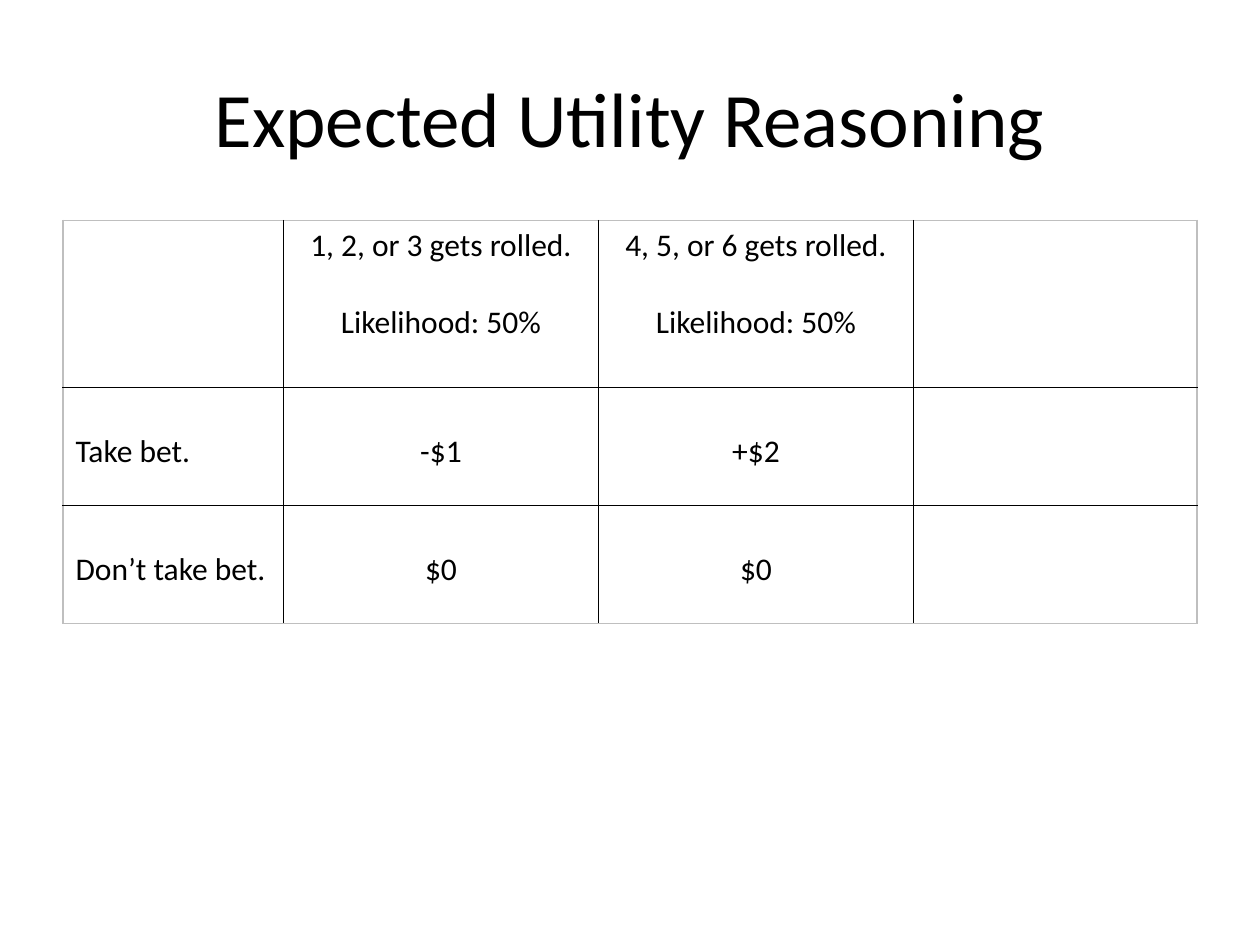
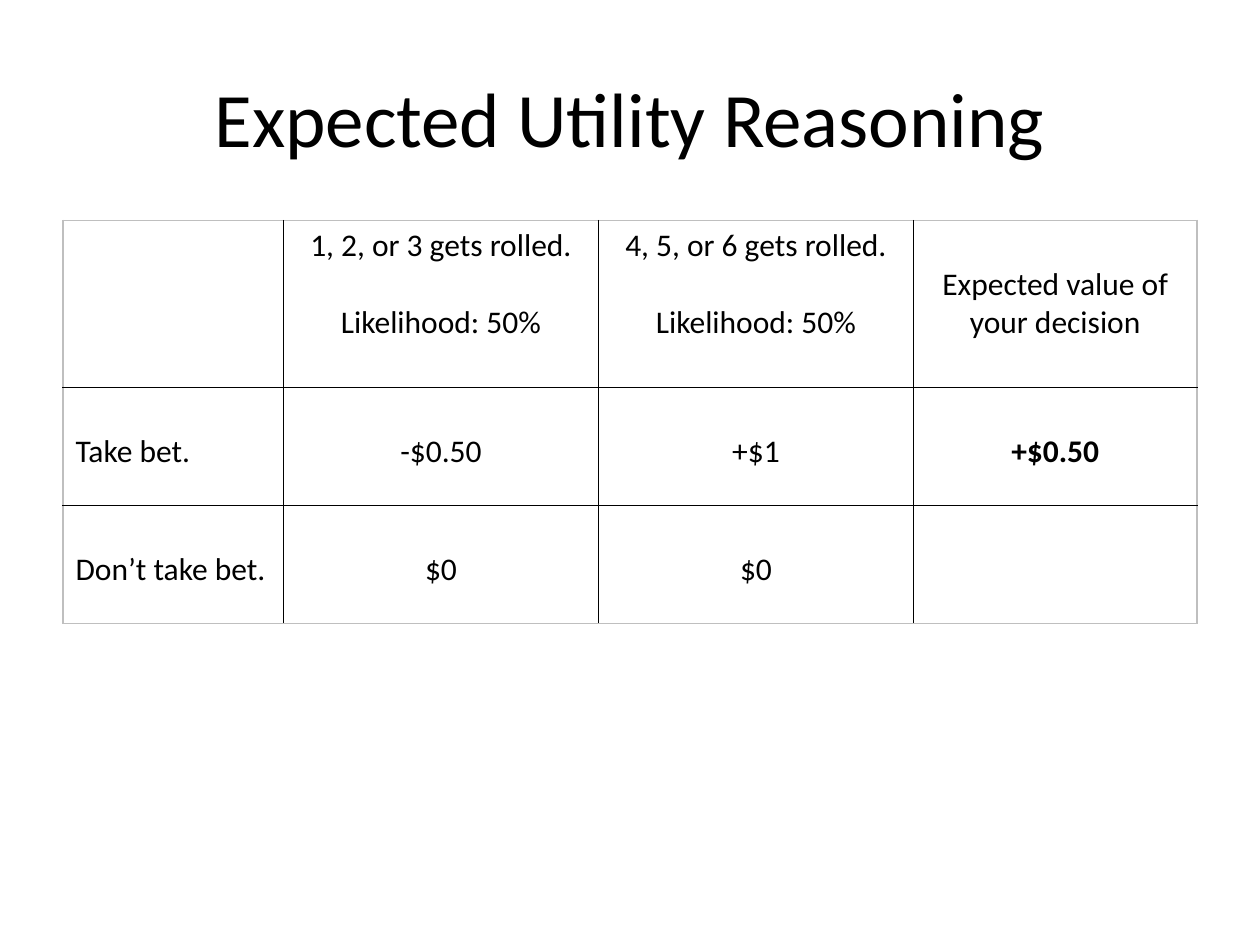
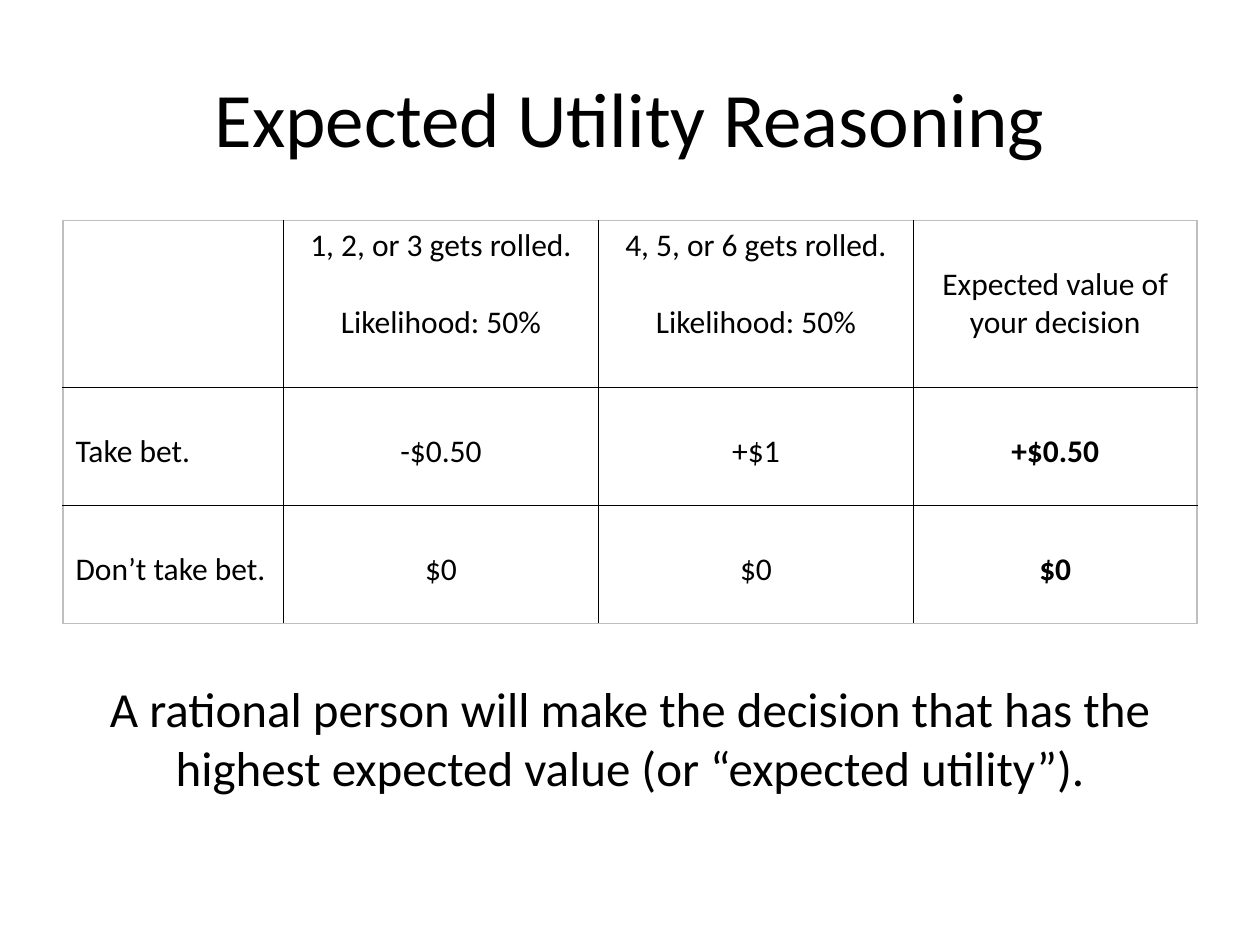
from dataclasses import dataclass

from lxml.etree import SubElement as Sub
from pptx import Presentation
from pptx.dml.color import RGBColor
from pptx.enum.text import MSO_ANCHOR as Anchor, PP_ALIGN as Align
from pptx.oxml.ns import qn
from pptx.util import Pt

FACE = "Calibri"
BLACK, GRAY, WHITE = "000000", "BFBFBF", "FFFFFF"
LEFT, WIDTH = 36, 648
COLS = (126, 180, 180, 162)
ROWS = (95.4, 67.4, 67.4)
TOP, PAD, LINE = 126, 3.6, 22
TITLE = "Expected Utility Reasoning"
ODDS = "Likelihood: 50%"
VALUE = "Expected value of your decision"
MORAL = ("A rational person will make the decision that has the "
         "highest expected value (or “expected utility”).")


@dataclass
class Bet:
    loss: str
    win: str
    head: str = ""
    take: str = ""
    leave: str = ""
    moral: str = ""

    def grid(self) -> list[list[str]]:
        return [
            ["", f"1, 2, or 3 gets rolled.\n{ODDS}",
             f"4, 5, or 6 gets rolled.\n{ODDS}", self.head],
            ["Take bet.", self.loss, self.win, self.take],
            ["Don’t take bet.", "$0", "$0", self.leave],
        ]


BETS = (
    Bet("-$1", "+$2"),
    Bet("-$0.50", "+$1", VALUE, "+$0.50"),
    Bet("-$0.50", "+$1", VALUE, "+$0.50", "$0", MORAL),
)


def color(code: str) -> RGBColor:
    return RGBColor.from_string(code)


def write(frame, text: str, size: float, align=Align.CENTER,
          bold: bool = False) -> None:
    frame.word_wrap = True
    frame.text = text
    for at, para in enumerate(frame.paragraphs):
        para.alignment = align
        if at:
            para.space_before = Pt(LINE)
        font = para.font
        font.name, font.size, font.bold = FACE, Pt(size), bold
        font.color.rgb = color(BLACK)


def add_text(slide, text: str, top: float, high: float, size: float,
             anchor=Anchor.TOP) -> None:
    box = slide.shapes.add_textbox(Pt(LEFT), Pt(top), Pt(WIDTH), Pt(high))
    box.text_frame.vertical_anchor = anchor
    write(box.text_frame, text, size)


def edge(cell, row: int, col: int) -> None:
    props = cell._tc.get_or_add_tcPr()
    outer = {
        "lnL": col == 0,
        "lnR": col == len(COLS) - 1,
        "lnT": row == 0,
        "lnB": row == len(ROWS) - 1,
    }
    for side, rim in outer.items():
        line = Sub(props, qn(f"a:{side}"), w=str(Pt(1)))
        fill = Sub(line, qn("a:solidFill"))
        Sub(fill, qn("a:srgbClr"), val=GRAY if rim else BLACK)


def add_grid(slide, bet: Bet) -> None:
    table = slide.shapes.add_table(
        len(ROWS), len(COLS), Pt(LEFT), Pt(TOP), Pt(WIDTH), Pt(sum(ROWS))).table
    table.first_row = table.horz_banding = False
    for col, wide in zip(table.columns, COLS):
        col.width = Pt(wide)
    for row, high in zip(table.rows, ROWS):
        row.height = Pt(high)
    for row, texts in enumerate(bet.grid()):
        for col, text in enumerate(texts):
            cell = table.cell(row, col)
            edge(cell, row, col)
            cell.fill.solid()
            cell.fill.fore_color.rgb = color(WHITE)
            last = col == len(COLS) - 1
            cell.margin_top = Pt(PAD + LINE if row or last else PAD)
            write(cell.text_frame, text, 18,
                  Align.CENTER if col else Align.LEFT, bool(row) and last)


def main() -> None:
    deck = Presentation()
    deck.slide_width, deck.slide_height = Pt(720), Pt(540)
    for bet in BETS:
        slide = deck.slides.add_slide(deck.slide_layouts[6])
        add_text(slide, TITLE, 21.6, 90, 44, Anchor.MIDDLE)
        add_grid(slide, bet)
        if bet.moral:
            add_text(slide, bet.moral, 384, 75, 28)
    deck.save("out.pptx")


if __name__ == "__main__":
    main()
